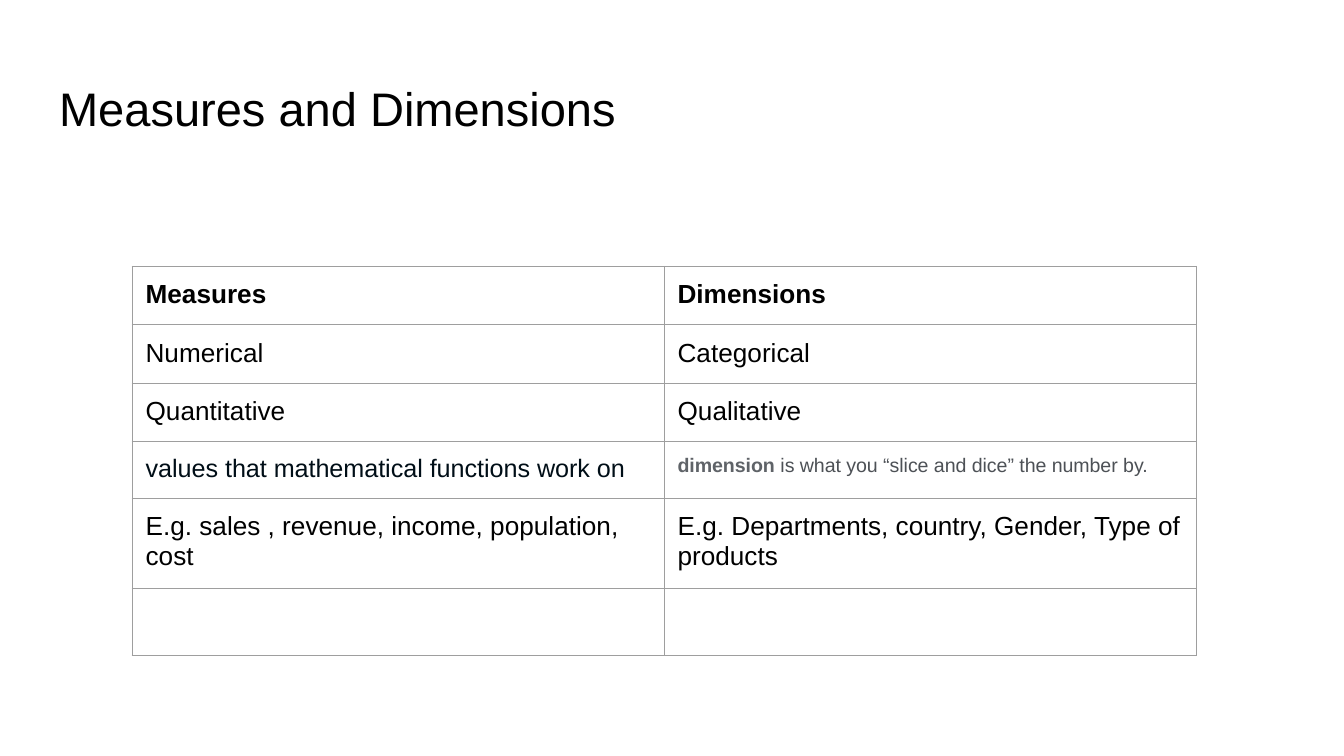
from typing import NamedTuple

from lxml.etree import SubElement
from pptx import Presentation
from pptx.dml.color import RGBColor
from pptx.enum.text import MSO_ANCHOR
from pptx.oxml.ns import qn
from pptx.util import Pt

PX = 7620  # 120 px to the inch
FONT = "Arial"
BLACK = "000000"
BORDER = "9E9E9E"
INSET = 12


class Run(NamedTuple):
    text: str
    size: float = 14
    color: str = BLACK
    bold: bool = False


def px(n: int) -> int:
    return n * PX


def rgb(color: str) -> RGBColor:
    return RGBColor.from_string(color)


def set_insets(target) -> None:
    """Apply equal margins to a text frame or a table cell."""
    target.margin_left = target.margin_right = px(INSET)
    target.margin_top = target.margin_bottom = px(INSET)


def write(p, runs: list[Run]) -> None:
    for run in runs:
        r = p.add_run()
        r.text = run.text
        r.font.name = FONT
        r.font.size = Pt(run.size)
        r.font.bold = run.bold
        r.font.color.rgb = rgb(run.color)


def set_borders(cell) -> None:
    tc_pr = cell._tc.get_or_add_tcPr()
    for side in ("lnL", "lnR", "lnT", "lnB"):
        ln = SubElement(tc_pr, qn(f"a:{side}"), w=str(Pt(0.75)))
        fill = SubElement(ln, qn("a:solidFill"))
        SubElement(fill, qn("a:srgbClr"), val=BORDER)


def add_title(s, run: Run) -> None:
    tf = s.shapes.add_textbox(px(41), px(59), px(1118), px(75)).text_frame
    tf.word_wrap = True
    tf.vertical_anchor = MSO_ANCHOR.MIDDLE
    set_insets(tf)
    write(tf.paragraphs[0], [run])


def add_comparison(s, rows: list[list[list[Run]]]) -> None:
    col_w, row_h, frame_size = 475, 50, 394
    frame = s.shapes.add_table(len(rows), len(rows[0]), px(118), px(238),
                               px(frame_size), px(frame_size))
    table = frame.table
    table.first_row = table.horz_banding = False
    for column in table.columns:
        column.width = px(col_w)
    for table_row in table.rows:
        table_row.height = px(row_h)
    # Sizing the grid resizes the frame, and LibreOffice stretches rows to it
    frame.width = frame.height = px(frame_size)

    for i, row in enumerate(rows):
        for j, runs in enumerate(row):
            cell = table.cell(i, j)
            set_insets(cell)
            set_borders(cell)
            cell.fill.background()
            write(cell.text_frame.paragraphs[0], runs)


ROWS = [
    [[Run("Measures", bold=True)], [Run("Dimensions", bold=True)]],
    [[Run("Numerical")], [Run("Categorical")]],
    [[Run("Quantitative")], [Run("Qualitative")]],
    [[Run("values that mathematical functions work on", 13.5, "000E17")],
     [Run("dimension", 10.5, "5F6368", True),
      Run(" is what you “slice and dice” the number by.", 10.5, "4D5156")]],
    [[Run("E.g. sales , revenue, income, population, cost")],
     [Run("E.g. Departments, country, Gender, Type of products")]],
    [[], []],
]


def main() -> None:
    prs = Presentation()
    prs.slide_width, prs.slide_height = px(1200), px(675)
    s = prs.slides.add_slide(prs.slide_layouts[6])

    # Title
    add_title(s, Run("Measures and Dimensions", 25.2))

    # Comparison table
    add_comparison(s, ROWS)

    prs.save("out.pptx")


if __name__ == "__main__":
    main()
